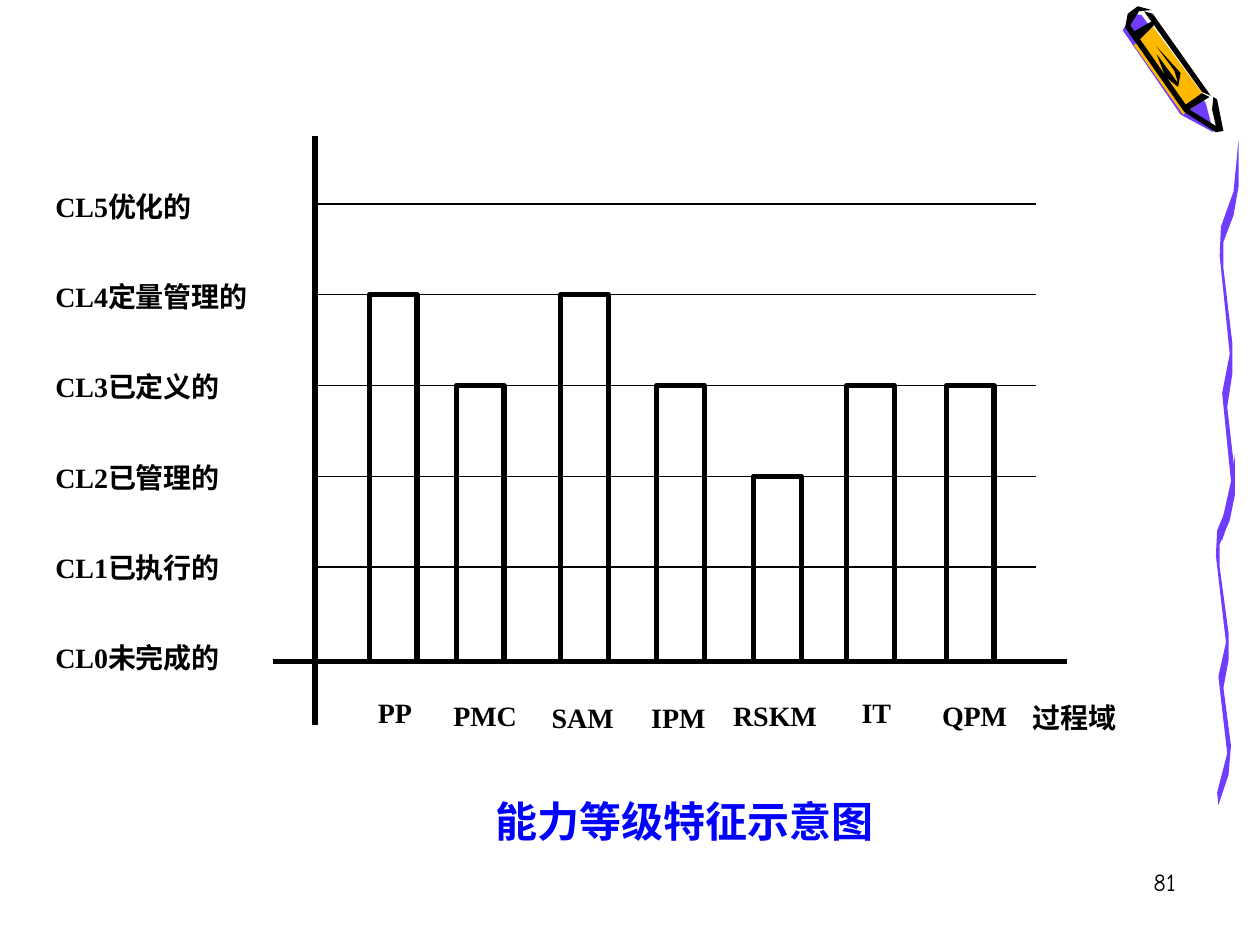
from lxml.etree import SubElement
from pptx import Presentation
from pptx.dml.color import RGBColor as RGB
from pptx.enum.shapes import MSO_CONNECTOR as Conn, MSO_SHAPE as Shape
from pptx.enum.text import MSO_ANCHOR as Anchor, PP_ALIGN as Align
from pptx.oxml.ns import qn
from pptx.util import Inches, Pt

INK = {name: RGB.from_string(code) for name, code in {
    "black": "000000", "blue": "0000FF", "violet": "703DFF",
    "gold": "FFB800"}.items()}

deck = Presentation()
deck.slide_width, deck.slide_height = Inches(10), Inches(7.5)
slide = deck.slides.add_slide(deck.slide_layouts[6])
shapes = slide.shapes
CELL = deck.slide_width // 1000  # the grid has 1000 columns and 750 rows


def text(words, box, align=Align.JUSTIFY, anchor=Anchor.MIDDLE, **form):
    frame = shapes.add_textbox(*(int(n * CELL) for n in box)).text_frame
    frame.word_wrap = True
    frame.vertical_anchor = anchor
    para = frame.paragraphs[0]
    para.alignment = align
    run = para.add_run()
    run.text = words
    look = {"name": "Times New Roman", "size": Pt(16), "bold": True} | form
    run.font.color.rgb = look.pop("color", INK["black"])
    for key, value in look.items():
        setattr(run.font, key, value)


def line(x1, y1, x2, y2, width):
    rule = shapes.add_connector(
        Conn.STRAIGHT, *(n * CELL for n in (x1, y1, x2, y2)))
    rule.line.color.rgb = INK["black"]
    rule.line.width = Pt(width)
    SubElement(rule._element.spPr, qn("a:effectLst"))


# The ribbon hangs twice: the lower one is shorter and a little to the left
RIBBON = [
    (969, 418), (977, 382), (970, 312), (976, 281), (968, 203), (969, 180),
    (979, 152), (983, 111), (983, 148), (979, 171), (971, 192), (971, 213),
    (978, 272), (978, 297), (974, 323), (980, 375), (978, 402), (970, 429)]
LOWER = [(x - 3, round(361 + (y - 111) * 0.874)) for x, y in RIBBON]

# Ribbons and crayon, back to front, as grid points
ART = [
    ("violet", LOWER),
    ("violet", RIBBON),
    ("violet", [  # shade
        (906, 12), (957, 82), (963, 105), (937, 91), (891, 24), (899, 11)]),
    ("gold", [  # wrapper
        (900, 36), (939, 91), (957, 78), (915, 21)]),
    ("black", [  # outline
        (914, 8), (903, 5), (895, 11), (893, 22), (940, 89), (965, 105),
        (971, 104), (966, 79), (963, 77), (962, 87), (965, 100), (944, 87),
        (960, 77), (954, 74), (941, 83), (897, 20), (904, 9)]),
    ("black", [  # long edge
        (915, 11), (961, 76), (954, 73), (908, 9)]),
    ("black", [  # end band
        (914, 17), (900, 25), (902, 34), (916, 20)]),
    ("black", [  # swirl
        (918, 37), (932, 56), (935, 66), (918, 43), (925, 61), (935, 69),
        (937, 58)]),
]
for ink, dots in ART:
    pen = shapes.build_freeform(*dots[0], scale=CELL)
    pen.add_line_segments(dots[1:], close=True)
    form = pen.convert_to_shape()
    form.shadow.inherit = False
    form.fill.solid()
    form.fill.fore_color.rgb = INK[ink]
    form.line.fill.background()

text("81", (735, 683, 208, 50), Align.RIGHT, Anchor.TOP,
     name="Comic Neue", size=Pt(14), bold=False)
text("能力等级特征示意图", (338, 611, 411, 81), Align.CENTER,
     size=Pt(24), color=INK["blue"])

# Axes
BASE = 525
line(250, 108, 250, 575, 3)
line(217, BASE, 847, BASE, 3)

# Level names, with a line for each level above the base
LEVELS = ["未完成的", "已执行的", "已管理的", "已定义的", "定量管理的", "优化的"]
STEP = 72
rows = [BASE] + [450 - STEP * n for n in range(5)]
for rank, name in enumerate(LEVELS):
    text(f"CL{rank}{name}", (34, 486 - 71.5 * rank, 191, 71))
    if rank:
        line(248, rows[rank], 822, rows[rank], 0.75)

# Process areas: name, label left and top, bar left, level
MID, JUST = Align.CENTER, Align.JUSTIFY
AREAS = [
    ("PP", 272, 530, MID, 293, 4),
    ("PMC", 350, 532, JUST, 362, 3),
    ("SAM", 428, 534, JUST, 445, 4),
    ("IPM", 507, 534, JUST, 521, 3),
    ("RSKM", 572, 532, JUST, 598, 2),
    ("IT", 654, 530, MID, 672, 3),
    ("QPM", 732, 532, MID, 751, 3),
]
text("过程域", (810, 534, 107, 71))
for name, left, top, align, x, level in AREAS:
    wide = 99 if len(name) > 3 else 83
    text(name, (left, top, wide, 71), align)
    y = rows[level]
    bar = shapes.add_shape(
        Shape.RECTANGLE, *(n * CELL for n in (x, y, 38, BASE - y)))
    bar.shadow.inherit = False
    bar.fill.background()
    bar.line.color.rgb = INK["black"]
    bar.line.width = Pt(3)

deck.save("out.pptx")
